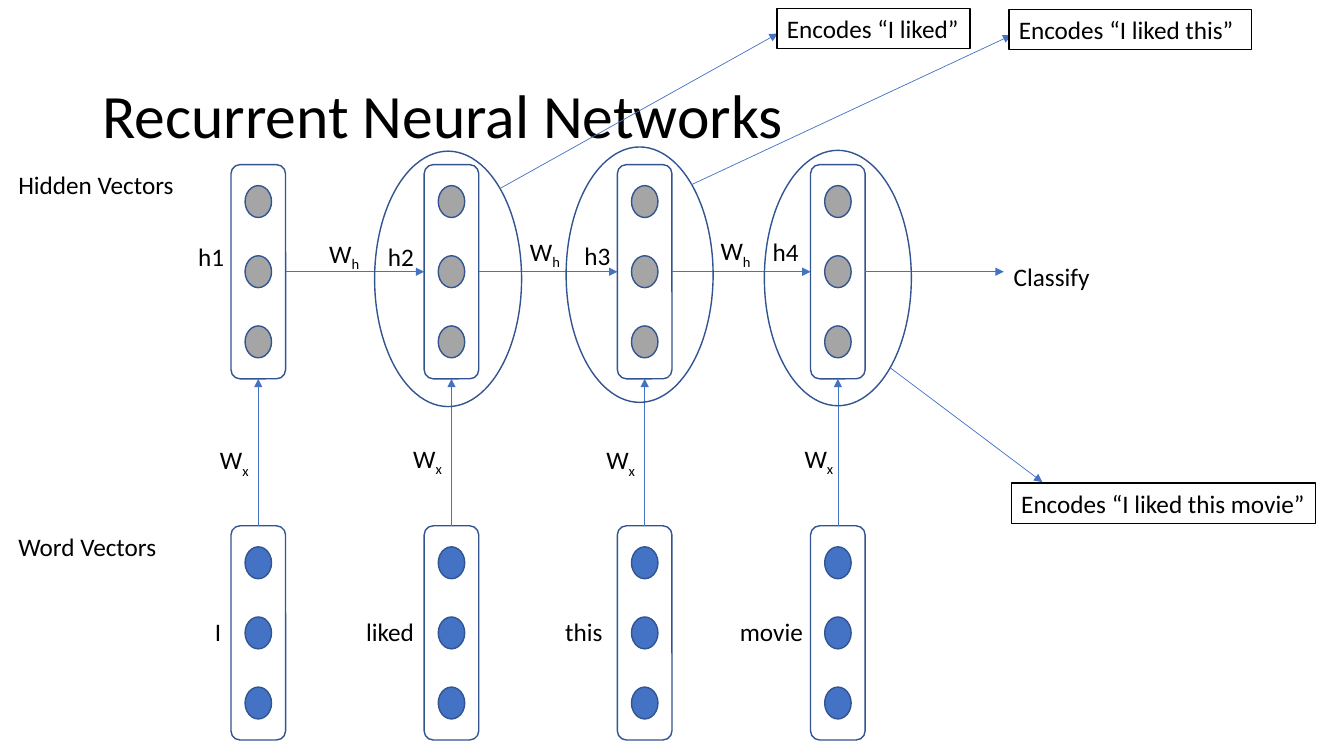
import dataclasses
import typing

import pptx
import pptx.dml.color
import pptx.enum.shapes
import pptx.enum.text
import pptx.oxml.ns
import pptx.util
import lxml.etree

GRID_COLUMNS, GRID_ROWS = 160, 90
SLIDE_WIDTH, SLIDE_HEIGHT = pptx.util.Inches(13.333), pptx.util.Inches(7.5)
BLACK, WHITE, BLUE, OUTLINE, GREY = "000000", "FFFFFF", "4472C4", "325491", "A5A5A5"
SHAPES = pptx.enum.shapes.MSO_SHAPE

FIRST_COLUMN, COLUMN_PITCH = 27.5, 23
VECTOR_WIDTH, VECTOR_HEIGHT = 6.5, 25.5
HIDDEN_TOP, WORD_TOP = 19.6, 62.6
UNIT_WIDTH, UNIT_HEIGHT, UNIT_PITCH = 3.15, 3.8, 8.35
HALO_WIDTH, HALO_HEIGHT = 17.5, 30.4
LABEL_HEIGHT = 4.8


@dataclasses.dataclass
class Label:
    text: str
    left: float
    top: float
    width: float = 11.4
    height: float = LABEL_HEIGHT
    subscript: str = ""
    size: int = 18
    boxed: bool = False


@dataclasses.dataclass
class Arrow:
    start: tuple[float, float]
    end: tuple[float, float]


@dataclasses.dataclass
class Encoding:
    halo: tuple[float, float]
    arrow: Arrow
    callout: Label


TITLE = Label("Recurrent Neural Networks", 11, 4.8, 138, 17.4, size=44)

LABELS = [
    Label("I", 24.4, 72.8),
    Label("liked", 42.4, 72.8),
    Label("this", 66.1, 72.8),
    Label("movie", 86.9, 72.8),
    Label("h1", 22.4, 28.1),
    Label("h2", 45, 28.1),
    Label("h3", 68.4, 28),
    Label("h4", 90.8, 27.5),
    Label("Word Vectors", 1, WORD_TOP, 23),
    Label("Hidden Vectors", 1, HIDDEN_TOP, 23),
    Label("Classify", 119.5, 30.5, 23),
    Label("W", 25, 52.6, subscript="x"),
    Label("W", 48, 52.4, subscript="x"),
    Label("W", 71, 52.6, subscript="x"),
    Label("W", 94.6, 52.4, subscript="x"),
    Label("W", 38, 28, subscript="h"),
    Label("W", 61.9, 27.8, subscript="h"),
    Label("W", 84.6, 27.7, subscript="h"),
]

ENCODINGS = [
    Encoding((44.6, 18), Arrow((59.6, 22.4), (92.6, 4)),
             Label("Encodes “I liked”", 92.5, 1, 23, boxed=True)),
    Encoding((67.4, 17.5), Arrow((82.3, 22), (120.4, 4.2)),
             Label("Encodes “I liked this”", 120.1, 1.1, 28.9, boxed=True)),
    Encoding((91, 17.9), Arrow((106, 43.8), (124.1, 57.4)),
             Label("Encodes “I liked this movie”", 120.4, 57.5, 36.2, boxed=True)),
]


def across(columns: float) -> int:
    return round(SLIDE_WIDTH * columns / GRID_COLUMNS)


def down(rows: float) -> int:
    return round(SLIDE_HEIGHT * rows / GRID_ROWS)


def colour(code: str) -> pptx.dml.color.RGBColor:
    return pptx.dml.color.RGBColor.from_string(code)


def apply(target: typing.Any, values: dict[str, typing.Any]) -> None:
    for name, value in values.items():
        setattr(target, name, value)


def draw_line(line: typing.Any, code: str, points: float) -> None:
    line.color.rgb = colour(code)
    line.width = pptx.util.Pt(points)


def draw_shape(page: typing.Any, kind: typing.Any, left: float, top: float,
               width: float, height: float, fill: str = "") -> None:
    shape = page.shapes.add_shape(kind, across(left), down(top), across(width), down(height))
    shape.shadow.inherit = False
    if fill:
        shape.fill.solid()
        shape.fill.fore_color.rgb = colour(fill)
    else:
        shape.fill.background()
    draw_line(shape.line, OUTLINE, 1)


def draw_arrow(page: typing.Any, arrow: Arrow) -> None:
    (left, top), (right, bottom) = arrow.start, arrow.end
    connector = page.shapes.add_connector(
        pptx.enum.shapes.MSO_CONNECTOR.STRAIGHT,
        across(left), down(top), across(right), down(bottom))
    draw_line(connector.line, BLUE, 0.5)
    outline = connector.line._get_or_add_ln()
    lxml.etree.SubElement(outline, pptx.oxml.ns.qn("a:tailEnd"), type="triangle")
    lxml.etree.SubElement(connector._element.spPr, pptx.oxml.ns.qn("a:effectLst"))


def draw_label(page: typing.Any, label: Label) -> None:
    box = page.shapes.add_textbox(
        across(label.left), down(label.top), across(label.width), down(label.height))
    if label.boxed:
        box.fill.solid()
        box.fill.fore_color.rgb = colour(WHITE)
        draw_line(box.line, BLACK, 1)
    apply(box.text_frame, {
        "word_wrap": True,
        "vertical_anchor": pptx.enum.text.MSO_ANCHOR.MIDDLE,
    })
    para = box.text_frame.paragraphs[0]
    for text, baseline in ((label.text, ""), (label.subscript, "-25000")):
        if text:
            span = para.add_run()
            span.text = text
            apply(span.font, {"name": "Calibri", "size": pptx.util.Pt(label.size)})
            span.font.color.rgb = colour(BLACK)
            if baseline:
                span._r.get_or_add_rPr().set("baseline", baseline)


def draw_vector(page: typing.Any, left: float, top: float, fill: str) -> None:
    draw_shape(page, SHAPES.ROUNDED_RECTANGLE, left, top, VECTOR_WIDTH, VECTOR_HEIGHT)
    unit_left = left + (VECTOR_WIDTH - UNIT_WIDTH) / 2
    middle_top = top + (VECTOR_HEIGHT - UNIT_HEIGHT) / 2
    for step in (-1, 0, 1):
        draw_shape(page, SHAPES.OVAL, unit_left, middle_top + step * UNIT_PITCH,
                   UNIT_WIDTH, UNIT_HEIGHT, fill)


def draw_network(page: typing.Any) -> None:
    flow_row = HIDDEN_TOP + VECTOR_HEIGHT / 2
    for step in range(4):
        left = FIRST_COLUMN + step * COLUMN_PITCH
        centre = left + VECTOR_WIDTH / 2
        draw_vector(page, left, HIDDEN_TOP, GREY)
        draw_vector(page, left, WORD_TOP, BLUE)
        draw_arrow(page, Arrow((centre, WORD_TOP), (centre, HIDDEN_TOP + VECTOR_HEIGHT)))
        draw_arrow(page, Arrow((left + VECTOR_WIDTH, flow_row), (left + COLUMN_PITCH, flow_row)))


def main() -> None:
    deck = pptx.Presentation()
    apply(deck, {"slide_width": SLIDE_WIDTH, "slide_height": SLIDE_HEIGHT})
    page = deck.slides.add_slide(deck.slide_layouts[6])
    draw_label(page, TITLE)
    draw_network(page)
    for label in LABELS:
        draw_label(page, label)
    for encoding in ENCODINGS:
        draw_shape(page, SHAPES.OVAL, *encoding.halo, HALO_WIDTH, HALO_HEIGHT)
        draw_arrow(page, encoding.arrow)
        draw_label(page, encoding.callout)
    deck.save("out.pptx")


if __name__ == "__main__":
    main()
